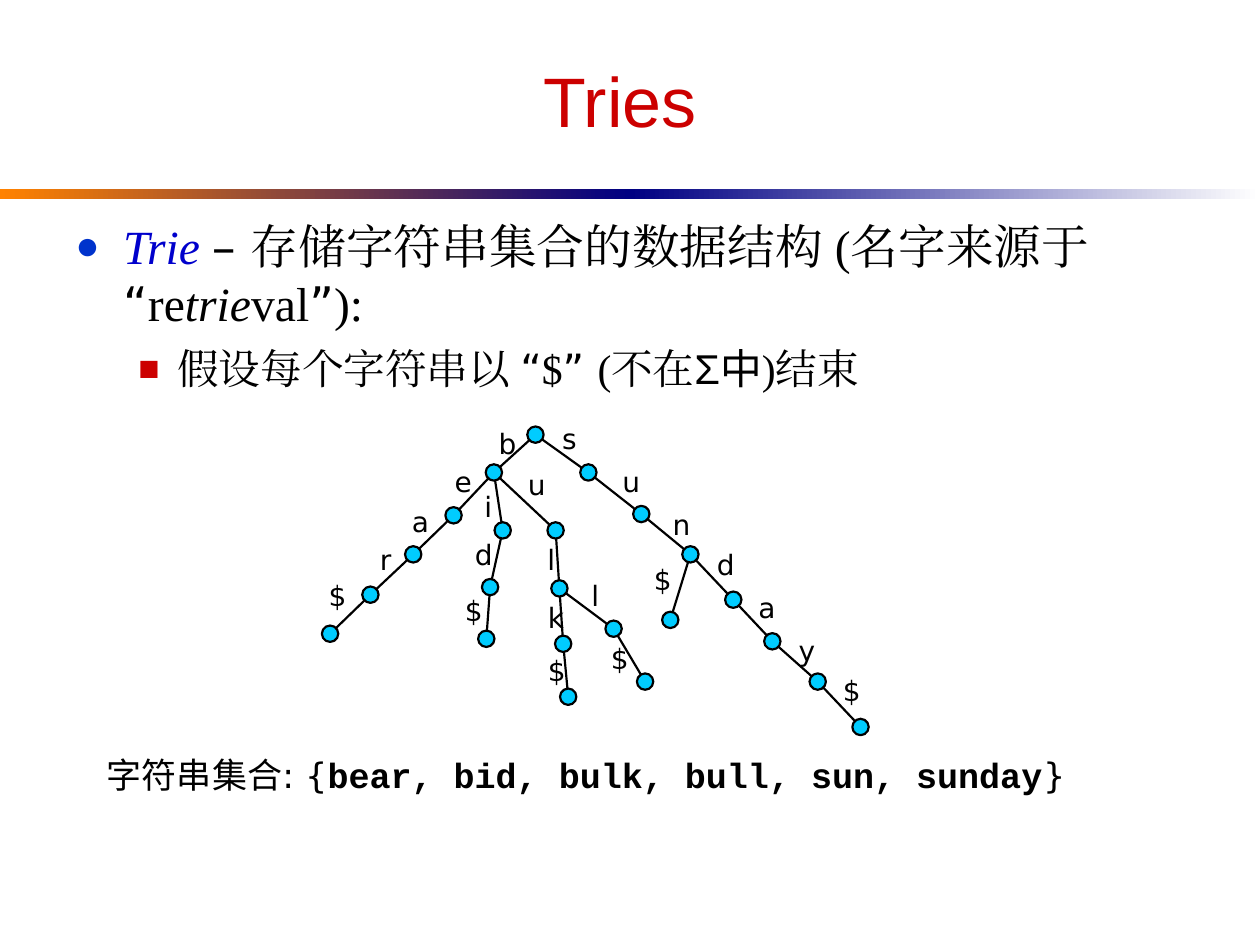
from math import hypot

from pptx import Presentation
from pptx.dml.color import RGBColor
from pptx.enum.shapes import MSO_CONNECTOR as CONNECTOR, MSO_SHAPE as SHAPE
from pptx.enum.text import MSO_ANCHOR as ANCHOR, PP_ALIGN as ALIGN
from pptx.oxml.ns import qn
from pptx.util import Inches, Pt
from lxml.etree import SubElement

COLORS = {
    "title": "CC0000", "term": "0000CC", "text": "000000",
    "dot": "0033CC", "square": "CC0000", "node": "00CCFF",
    "orange": "FF8200", "navy": "000082", "white": "FFFFFF",
}
SANS, SERIF, ARIAL, MONO = "DejaVu Sans", "Times New Roman", "Arial", "Courier New"
COLUMNS, ROWS = 100, 75
NODE_SIZE = 1.3
LABEL_WIDTHS = {"i": 2.5, "l": 2.5, "r": 2.9}

# Each prefix in the trie: centre of its node, centre of the label on its edge
TRIE = {
    "": ((42.5, 34.5), None),
    "b": ((39.2, 37.5), (40.2, 35.2)),
    "s": ((46.7, 37.5), (45.2, 34.8)),
    "be": ((36, 40.9), (36.7, 38.2)),
    "bea": ((32.8, 44), (33.3, 41.4)),
    "bear": ((29.4, 47.2), (30.6, 44.4)),
    "bear$": ((26.2, 50.3), (26.7, 47.3)),
    "bi": ((39.9, 42.1), (38.7, 40.2)),
    "bid": ((38.9, 46.6), (38.3, 44)),
    "bid$": ((38.6, 50.7), (37.5, 48.5)),
    "bu": ((44.1, 42.1), (42.5, 38.5)),
    "bul": ((44.4, 46.7), (43.7, 44.4)),
    "bulk": ((44.7, 51.1), (44.1, 49)),
    "bulk$": ((45.1, 55.3), (44.1, 53.2)),
    "bull": ((48.7, 49.9), (47.2, 47.3)),
    "bull$": ((51.2, 54.1), (49.1, 52.3)),
    "su": ((50.9, 40.8), (50, 38.2)),
    "sun": ((54.8, 44), (54, 41.6)),
    "sun$": ((53.2, 49.2), (52.5, 46)),
    "sund": ((58.2, 47.6), (57.5, 44.8)),
    "sunda": ((61.3, 50.9), (60.8, 48.2)),
    "sunday": ((64.9, 54.1), (64, 51.6)),
    "sunday$": ((68.3, 57.7), (67.5, 54.8)),
}


def rgb(name):
    return RGBColor.from_string(COLORS[name])


class TrieSlide:
    """Draws on one slide; lengths are columns and rows of a 100 x 75 grid."""

    def __init__(self, prs):
        self.slide = prs.slides.add_slide(prs.slide_layouts[6])
        self.shapes = self.slide.shapes
        self.column = prs.slide_width / COLUMNS
        self.row = prs.slide_height / ROWS

    def place(self, x, y, *size):
        units = (self.column, self.row) * 2
        return [round(v * unit) for v, unit in zip((x, y, *size), units)]

    def shape(self, kind, *box):
        shape = self.shapes.add_shape(kind, *self.place(*box))
        shape.shadow.inherit = False
        return shape

    def gradient_bar(self, x, start, end):
        bar = self.shape(SHAPE.RECTANGLE, x, 15, COLUMNS / 2, 0.8)
        bar.line.fill.background()
        bar.fill.gradient()
        bar.fill.gradient_angle = 0
        for stop, color in zip(bar.fill.gradient_stops, (start, end)):
            stop.color.rgb = rgb(color)

    def text_box(self, *box, wrap=True, anchor=ANCHOR.TOP):
        frame = self.shapes.add_textbox(*self.place(*box)).text_frame
        frame.word_wrap = wrap
        frame.vertical_anchor = anchor
        return frame

    def runs(self, paragraph, size, parts):
        """Each part is text, font and, if wanted, style letters: b, i."""
        for text, face, *style in parts:
            run = paragraph.add_run()
            run.text = text
            font = run.font
            font.size = Pt(size)
            font.bold = "b" in style
            font.italic = "i" in style
            font.color.rgb = rgb("text")
            font.name = face
            SubElement(font._element, qn("a:ea")).set("typeface", face)

    def bullet(self, paragraph, char, color, margin, hang):
        props = paragraph._p.get_or_add_pPr()
        props.set("marL", str(Inches(margin)))
        props.set("indent", str(-Inches(hang)))
        fill = SubElement(props, qn("a:buClr"))
        SubElement(fill, qn("a:srgbClr")).set("val", COLORS[color])
        SubElement(props, qn("a:buSzPct")).set("val", "85000")
        SubElement(props, qn("a:buFont")).set("typeface", ARIAL)
        SubElement(props, qn("a:buChar")).set("char", char)

    def node(self, center):
        x, y = (v - NODE_SIZE / 2 for v in center)
        node = self.shape(SHAPE.OVAL, x, y, NODE_SIZE, NODE_SIZE)
        node.fill.solid()
        node.fill.fore_color.rgb = rgb("node")
        node.line.color.rgb = rgb("text")
        node.line.width = Pt(1.25)

    def edge(self, parent, child):
        """Joins the rims of two nodes along the line between their centres."""
        dx, dy = child[0] - parent[0], child[1] - parent[1]
        trim = NODE_SIZE / 2 / hypot(dx, dy)
        start = self.place(parent[0] + dx * trim, parent[1] + dy * trim)
        end = self.place(child[0] - dx * trim, child[1] - dy * trim)
        edge = self.shapes.add_connector(CONNECTOR.STRAIGHT, *start, *end)
        edge.line.color.rgb = rgb("text")
        edge.line.width = Pt(1.25)
        SubElement(edge._element.spPr, qn("a:effectLst"))

    def label(self, letter, center):
        width, height = LABEL_WIDTHS.get(letter, 3.2), 3.7
        frame = self.text_box(center[0] - width / 2, center[1] - height / 2,
                              width, height, wrap=False)
        frame.paragraphs[0].alignment = ALIGN.CENTER
        self.runs(frame.paragraphs[0], 16, [(letter, SANS)])


def main():
    prs = Presentation()
    prs.slide_width, prs.slide_height = Inches(10), Inches(7.5)
    page = TrieSlide(prs)

    # Divider and title
    page.gradient_bar(0, "orange", "navy")
    page.gradient_bar(COLUMNS / 2, "navy", "white")
    title = page.text_box(5, 2.5, 90, 10.8, anchor=ANCHOR.MIDDLE).paragraphs[0]
    title.alignment = ALIGN.CENTER
    page.runs(title, 40, [("Tries ", ARIAL)])
    title.runs[0].font.color.rgb = rgb("title")

    # Definition and its assumption
    body = page.text_box(5, 16.7, 90, 16)
    definition = body.paragraphs[0]
    page.bullet(definition, "●", "dot", 0.38, 0.38)
    page.runs(definition, 27.2, [
        ("Trie ", SERIF, "i"), ("– ", SANS),
        ("存储字符串集合的数据结构 (名字来源于 ", SERIF), ("“", SANS),
        ("re", SERIF), ("trie", SERIF, "i"), ("val", SERIF),
        ("”", SANS), ("):", SERIF),
    ])
    definition.runs[0].font.color.rgb = rgb("term")
    assumption = body.add_paragraph()
    assumption.level = 1
    assumption.space_before = Pt(7)
    page.bullet(assumption, "■", "square", 0.81, 0.31)
    page.runs(assumption, 23.8, [
        ("假设每个字符串以 ", SERIF), ("“", SANS), ("$", SERIF), ("” ", SANS),
        ("(不在", SERIF), ("Σ中", ARIAL), (")结束", SERIF),
    ])

    # Trie: a prefix hangs from the prefix one letter shorter
    for prefix, (center, label_center) in TRIE.items():
        if prefix:
            page.edge(TRIE[prefix[:-1]][0], center)
            page.label(prefix[-1], label_center)
        page.node(center)

    # Stored words
    words = page.text_box(7.5, 59.3, 91.2, 12.4).paragraphs[0]
    page.runs(words, 20, [
        ("字符串集合: {", SANS),
        ("bear, bid, bulk, bull, sun, sunday", MONO, "b"),
        ("}", SANS),
    ])

    prs.save("out.pptx")


if __name__ == "__main__":
    main()
